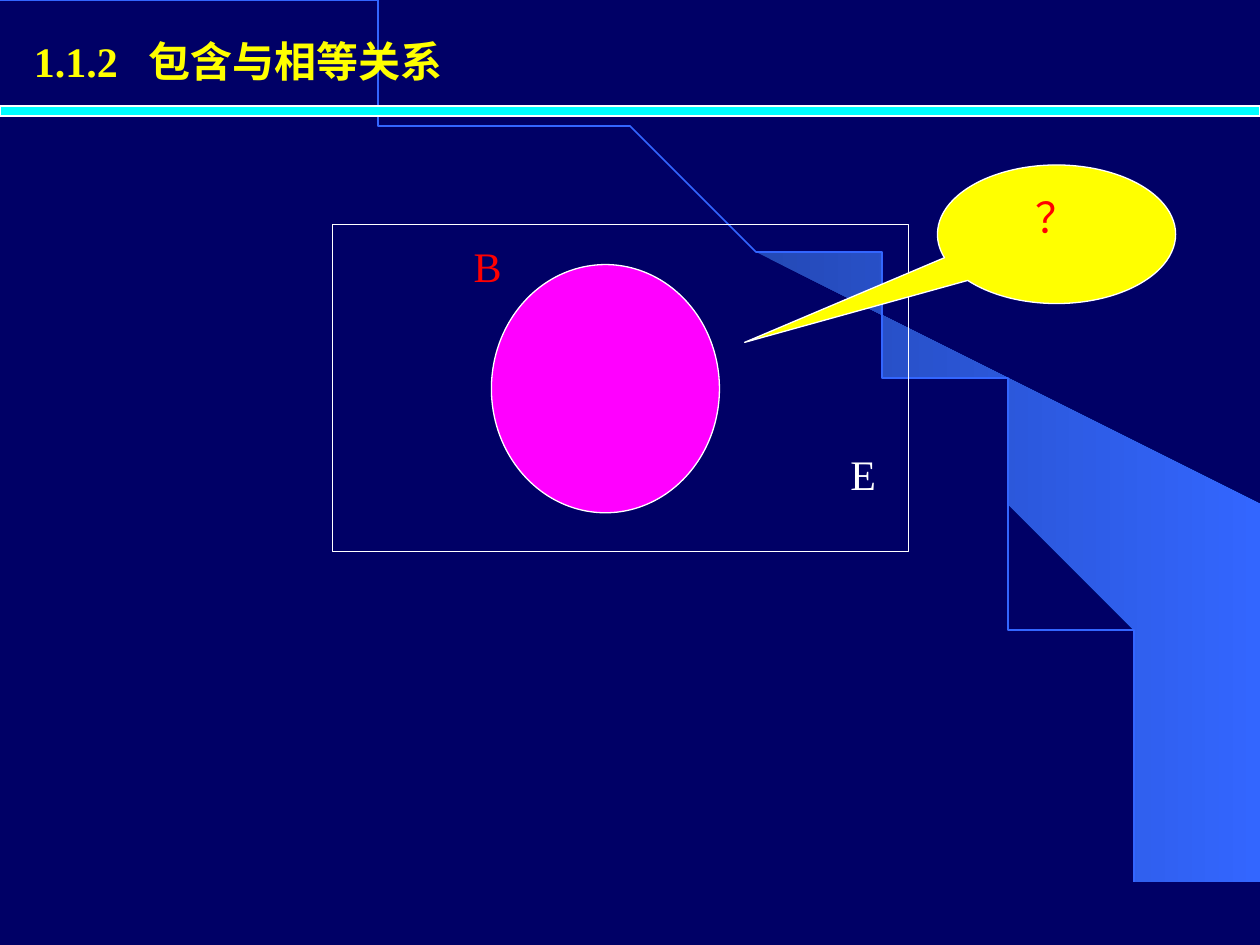
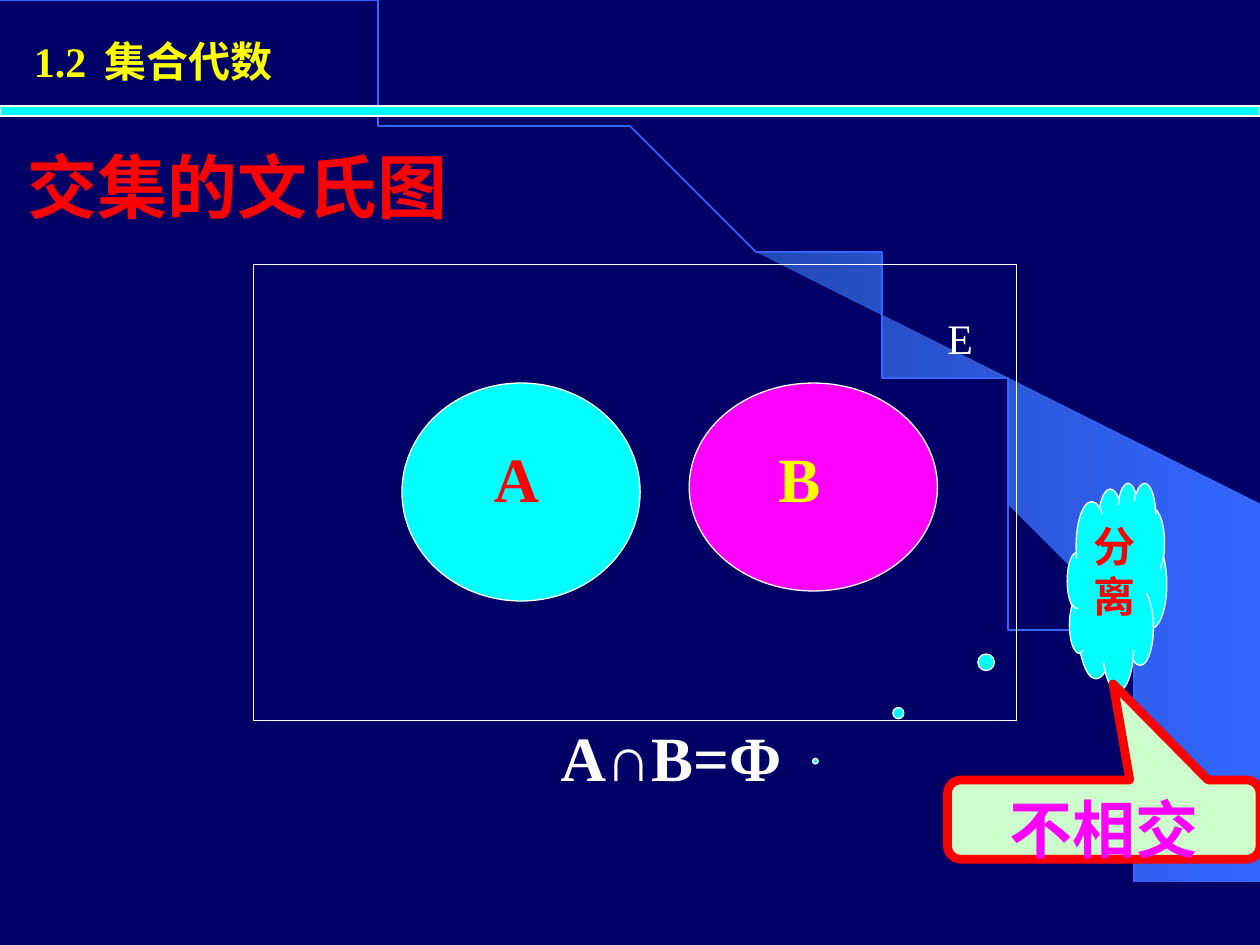
"""Builds two slides on set relations: inclusion and disjoint sets."""
from math import cos, pi, sin

from lxml import etree
from pptx import Presentation
from pptx.dml.color import RGBColor
from pptx.enum.shapes import MSO_SHAPE
from pptx.enum.text import MSO_ANCHOR, PP_ALIGN
from pptx.oxml.ns import qn
from pptx.util import Inches, Pt

NAVY = RGBColor(0x00, 0x00, 0x66)
DEEP_BLUE = RGBColor(0x24, 0x49, 0xB6)
BLUE = RGBColor(0x33, 0x66, 0xFF)
CYAN = RGBColor(0x00, 0xFF, 0xFF)
MAGENTA = RGBColor(0xFF, 0x00, 0xFF)
YELLOW = RGBColor(0xFF, 0xFF, 0x00)
RED = RGBColor(0xFF, 0x00, 0x00)
WHITE = RGBColor(0xFF, 0xFF, 0xFF)
PALE_GREEN = RGBColor(0xCC, 0xFF, 0xCC)

RECTANGLE = MSO_SHAPE.RECTANGLE
OVAL = MSO_SHAPE.OVAL
OVAL_CALLOUT = MSO_SHAPE.OVAL_CALLOUT
CLOUD_CALLOUT = MSO_SHAPE.CLOUD_CALLOUT
ROUNDED_CALLOUT = MSO_SHAPE.ROUNDED_RECTANGULAR_CALLOUT
TOP, MIDDLE = MSO_ANCHOR.TOP, MSO_ANCHOR.MIDDLE
LEFT, CENTER = PP_ALIGN.LEFT, PP_ALIGN.CENTER

SERIF, SANS, CHINESE = "Times New Roman", "Arial", "Noto Sans CJK SC"
ARC_WIDTH, ARC_HEIGHT, ARC_STEPS = 9.2, 7.49, 90
BEAM = [
    (9.2, 7.48), (9.99, 7.49), (9.99, 4.23), (5.89, 1.73), (6.24, 1.99),
    (6.53, 2.22), (6.85, 2.5), (7.16, 2.8), (7.62, 3.3), (8.03, 3.84),
    (8.32, 4.31), (8.58, 4.79), (8.78, 5.28), (8.93, 5.72), (9.03, 6.09),
    (9.13, 6.56), (9.17, 6.96), (9.2, 7.48),
]


def write(box, text, size, color, bold=False, name=SERIF, align=LEFT, anchor=TOP, tab=None):
    """Fill a box with one paragraph of uniform text."""
    frame = box.text_frame
    frame.word_wrap = True
    frame.vertical_anchor = anchor
    para = frame.paragraphs[0]
    para.text = text
    para.alignment = align
    properties = para._p.get_or_add_pPr()
    if tab:
        stops = etree.SubElement(properties, qn("a:tabLst"))
        etree.SubElement(stops, qn("a:tab"), pos=str(Inches(tab)), algn="l")
    para.font.size = Pt(size)
    para.font.bold = bold
    para.font.color.rgb = color
    para.font.name = name
    etree.SubElement(properties.find(qn("a:defRPr")), qn("a:ea"), typeface=CHINESE)


def draw(page, kind, place, fill=None, line=WHITE, width=0.75, adjust=()):
    """Add a preset shape with a flat fill and outline."""
    shape = page.shapes.add_shape(kind, *map(Inches, place))
    shape.shadow.inherit = False
    if fill is None:
        shape.fill.background()
    else:
        shape.fill.solid()
        shape.fill.fore_color.rgb = fill
    shape.line.color.rgb = line
    shape.line.width = Pt(width)
    for index, value in enumerate(adjust):
        shape.adjustments[index] = value
    return shape


deck = Presentation()
deck.slide_width, deck.slide_height = Inches(10), Inches(7.5)
arc_angles = [pi / 2 * step / ARC_STEPS for step in range(ARC_STEPS + 1)]
arc_points = [(ARC_WIDTH * sin(a), ARC_HEIGHT * (1 - cos(a))) for a in arc_angles]

pages = []
for heading, tab in [("1.1.2\t包含与相等关系", 0.91), ("1.2\t集合代数", 0.56)]:
    page = deck.slides.add_slide(deck.slide_layouts[6])
    page.background.fill.solid()
    page.background.fill.fore_color.rgb = NAVY

    outlines = []
    for points, closed in [(BEAM, True), (arc_points, False)]:
        builder = page.shapes.build_freeform(*points[0], scale=Inches(1))
        builder.add_line_segments(points[1:], close=closed)
        outline = builder.convert_to_shape()
        outline.shadow.inherit = False
        outlines.append(outline)
    beam, arc = outlines
    beam.line.fill.background()
    beam.fill.gradient()
    beam.fill.gradient_angle = 0
    for stop, color, position in zip(beam.fill.gradient_stops, (DEEP_BLUE, BLUE), (0, 1)):
        stop.color.rgb = color
        stop.position = position
    arc.fill.background()
    arc.line.color.rgb = BLUE
    arc.line.width = Pt(1)

    draw(page, RECTANGLE, (0, 0.84, 10, 0.08), CYAN)
    box = page.shapes.add_textbox(*map(Inches, (0.17, 0.23, 4.43, 0.5)))
    write(box, heading, 24, YELLOW, bold=True, tab=tab)
    pages.append(page)

inclusion, disjoint = pages

draw(inclusion, RECTANGLE, (2.64, 1.78, 4.57, 2.6))
draw(inclusion, OVAL, (3.9, 2.1, 1.81, 1.97), MAGENTA)
question = draw(inclusion, OVAL_CALLOUT, (7.44, 1.31, 1.89, 1.1), YELLOW, adjust=(-1.31, 0.78))
write(question, "？", 24, RED, align=CENTER)

title = disjoint.shapes.add_textbox(*map(Inches, (0.12, 0.85, 8.5, 1.25)))
write(title, "交集的文氏图", 40, RED, bold=True, name=SANS, anchor=MIDDLE)
draw(disjoint, RECTANGLE, (2.01, 2.1, 6.06, 3.62))
draw(disjoint, OVAL, (3.19, 3.04, 1.89, 1.73), CYAN)
draw(disjoint, OVAL, (5.47, 3.04, 1.97, 1.65), MAGENTA)

labels = [
    (inclusion, "E", (6.65, 3.51, 0.4, 0.5), 24, WHITE, False),
    (inclusion, "B", (3.66, 1.86, 0.42, 0.5), 24, RED, False),
    (disjoint, "A∩B=Φ", (4.35, 5.65, 2.38, 0.7), 36, WHITE, True),
    (disjoint, "A", (3.82, 3.44, 0.56, 0.7), 36, RED, True),
    (disjoint, "B", (6.08, 3.44, 0.53, 0.7), 36, YELLOW, True),
    (disjoint, "E", (7.42, 2.43, 0.4, 0.5), 24, WHITE, False),
]
for page, text, place, size, color, bold in labels:
    write(page.shapes.add_textbox(*map(Inches, place)), text, size, color, bold)

cloud = draw(disjoint, CLOUD_CALLOUT, (8.47, 3.83, 0.79, 1.65), CYAN, adjust=(-3.03, 0.84))
write(cloud, "分离", 24, RED, bold=True, align=CENTER)
remark = draw(disjoint, ROUNDED_CALLOUT, (7.52, 6.19, 2.48, 0.63), PALE_GREEN,
              line=RED, width=5, adjust=(0.03, -1.71, 0.17))
write(remark, "不相交", 36, MAGENTA, bold=True, align=CENTER)

deck.save("out.pptx")
